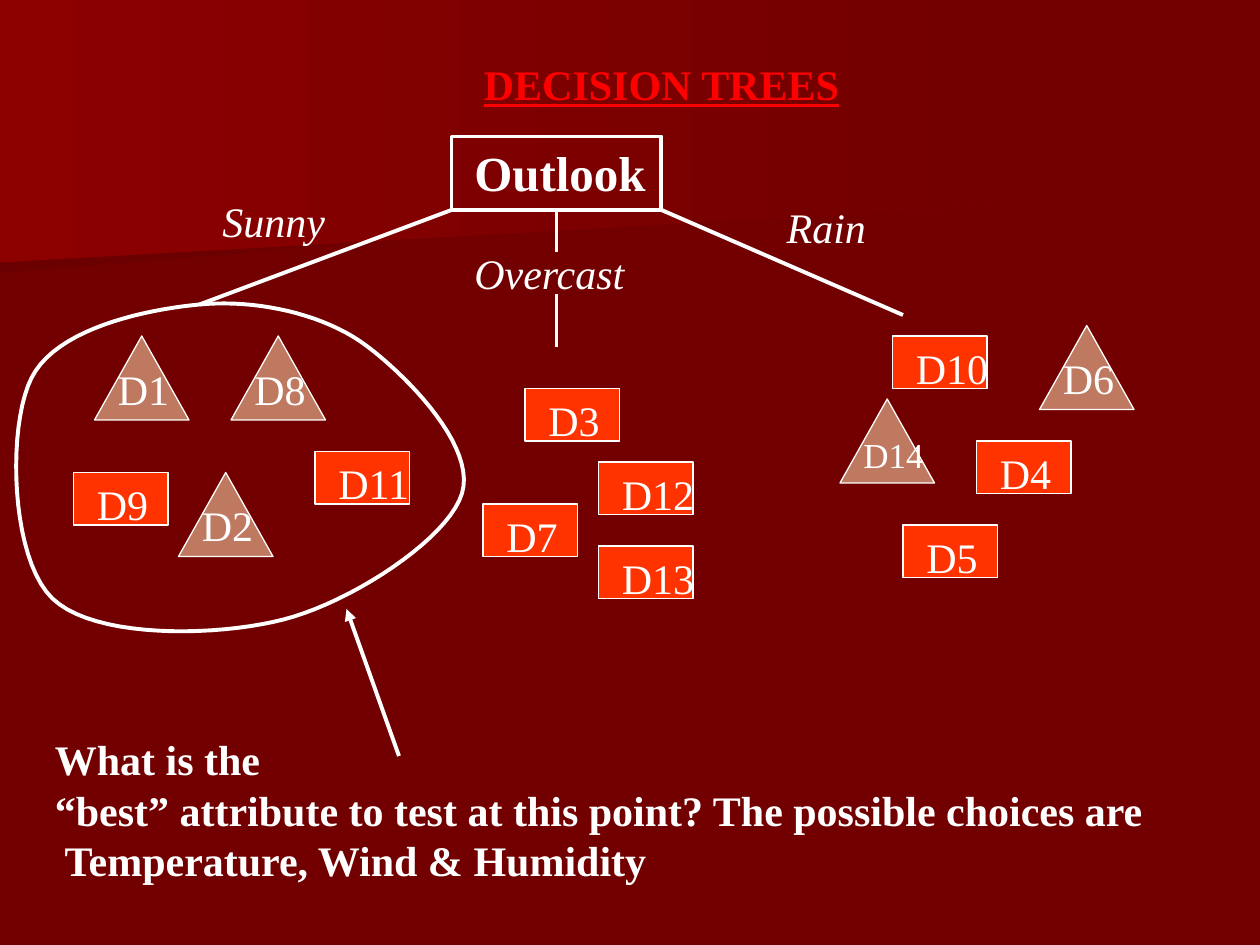
from dataclasses import dataclass

from lxml import etree
from pptx import Presentation
from pptx.dml.color import RGBColor
from pptx.enum import shapes as kinds, text as modes
from pptx.oxml.ns import qn
from pptx.util import Pt


@dataclass(frozen=True)
class Theme:
    """Colours, font and sizes of the slide."""
    back: str = "720000"
    glow: str = "8C0000"
    dark: str = "6B0000"
    red: str = "FF0000"
    box: str = "FF3300"
    peak: str = "BE7960"
    white: str = "FFFFFF"
    font: str = "Times New Roman"
    body: float = 24
    small: float = 20
    large: float = 28
    thin: float = 0.75
    thick: float = 2.25


THEME = Theme()


@dataclass(frozen=True)
class Day:
    """One training example: its name and top left corner."""
    name: str
    left: float
    top: float
    peak: bool = False
    size: float = THEME.body


@dataclass(frozen=True)
class Label:
    """Lines of text with their place and style."""
    text: str
    left: float
    top: float
    width: float
    size: float = THEME.body
    bold: bool = False
    slant: bool = False


@dataclass(frozen=True)
class Edge:
    """A straight line between two points."""
    start: tuple[float, float]
    end: tuple[float, float]
    arrow: bool = False


DAYS = [
    Day("D13", 342, 312), Day("D12", 342, 264), Day("D11", 180, 258),
    Day("D10", 510, 192), Day("D9", 42, 270), Day("D4", 558, 252),
    Day("D7", 276, 288), Day("D5", 516, 300), Day("D3", 300, 222),
    Day("D14", 480, 228, True, THEME.small), Day("D8", 132, 192, True),
    Day("D6", 594, 186, True), Day("D2", 102, 270, True),
    Day("D1", 54, 192, True),
]
LABELS = [
    Label("Outlook", 264, 78, 113, THEME.large, bold=True),
    Label("Sunny", 120, 108, 75, slant=True),
    Label("Overcast", 264, 138, 102, slant=True),
    Label("Rain", 442.5, 111.5, 61, slant=True),
    Label("What is the \n\u201cbest\u201d attribute to test at this point? "
          "The possible choices are\n Temperature, Wind & Humidity",
          24.25, 415.75, 638, bold=True),
]
EDGES = [
    Edge((378, 120), (516, 180)),
    Edge((258, 120), (114, 174)),
    Edge((318, 120), (318, 144)),
    Edge((318, 168), (318, 198)),
    Edge((228, 432), (198, 348), arrow=True),
]
# Each curve of the loop: two control points and an end point.
LOOP_START = (114, 174)
LOOP = [
    ((82, 177), (32, 188), (18, 216)),
    ((4, 244), (6, 319), (30, 342)),
    ((54, 365), (123, 364), (162, 354)),
    ((201, 344), (256, 308), (264, 282)),
    ((272, 256), (235, 217), (210, 198)),
    ((185, 179), (146, 171), LOOP_START),
]
STEPS = 20


def ink(name):
    """Turn a hex colour into an RGBColor."""
    return RGBColor.from_string(name)


def style(shape, fill=None, line=None, weight=THEME.thin):
    """Set the fill and outline, and drop the shadow."""
    shape.shadow.inherit = False
    if fill:
        shape.fill.solid()
        shape.fill.fore_color.rgb = ink(fill)
    else:
        shape.fill.background()
    if line:
        shape.line.color.rgb = ink(line)
        shape.line.width = Pt(weight)
    else:
        shape.line.fill.background()


def write(para, text, size, color=THEME.white, bold=False, slant=False):
    """Add one formatted run and return it."""
    run = para.add_run()
    run.text = text
    font = run.font
    font.name, font.size = THEME.font, Pt(size)
    font.bold, font.italic = bold, slant
    font.color.rgb = ink(color)
    return run


def add_label(shapes, label: Label):
    """Add an unwrapped text box, one paragraph a line."""
    lines = label.text.split("\n")
    tall = len(lines) * label.size * 1.2 + 7.2
    box = shapes.add_textbox(Pt(label.left), Pt(label.top),
                             Pt(label.width), Pt(tall))
    frame = box.text_frame
    frame.word_wrap = False
    frame.auto_size = modes.MSO_AUTO_SIZE.SHAPE_TO_FIT_TEXT
    for num, line in enumerate(lines):
        para = frame.add_paragraph() if num else frame.paragraphs[0]
        write(para, line, label.size, bold=label.bold, slant=label.slant)


def add_day(shapes, day: Day):
    """Add a grouped box or triangle with its name."""
    group = shapes.add_group_shape().shapes
    form = kinds.MSO_SHAPE
    kind = form.ISOSCELES_TRIANGLE if day.peak else form.RECTANGLE
    shape = group.add_shape(kind, Pt(day.left), Pt(day.top),
                            Pt(54), Pt(48 if day.peak else 30))
    style(shape, THEME.peak if day.peak else THEME.box, THEME.white)
    drop = (12 + THEME.body - day.size) if day.peak else 0
    wide = 14.4 + day.size * (len(day.name) * 0.5 + 0.22)
    add_label(group, Label(day.name, day.left + 6.25, day.top + drop,
                           wide, day.size))


def add_edge(shapes, edge: Edge):
    """Add a thick white line, with an arrowhead if wanted."""
    line = shapes.add_connector(kinds.MSO_CONNECTOR.STRAIGHT,
                                *map(Pt, edge.start + edge.end))
    line.line.color.rgb = ink(THEME.white)
    line.line.width = Pt(THEME.thick)
    props = line._element.spPr
    if edge.arrow:
        etree.SubElement(props.find(qn("a:ln")), qn("a:tailEnd"),
                         type="triangle")
    etree.SubElement(props, qn("a:effectLst"))


def add_free(shapes, points):
    """Add a closed outline through the points."""
    first, *rest = [(Pt(x), Pt(y)) for x, y in points]
    pen = shapes.build_freeform(*first)
    pen.add_line_segments(rest, close=True)
    return pen.convert_to_shape()


def add_band(shapes, points, color):
    """Add a background band that fades to the right."""
    band = add_free(shapes, points)
    style(band)
    band.fill.gradient()
    band.fill.gradient_angle = 0
    for stop, tone in zip(band.fill.gradient_stops, (color, THEME.back)):
        stop.color.rgb = ink(tone)


def trace(start, curves):
    """Return points along a chain of cubic curves."""
    points = [start]
    for curve in curves:
        knots = (points[-1], *curve)
        for step in range(1, STEPS + 1):
            t = step / STEPS
            parts = ((1 - t) ** 3, 3 * t * (1 - t) ** 2,
                     3 * t * t * (1 - t), t ** 3)
            points.append(tuple(sum(p * k[axis] for p, k in zip(parts, knots))
                                for axis in (0, 1)))
    return points


def set_title(slide, text):
    """Place the title in front and format it."""
    title = slide.shapes.title
    title.left, title.top = Pt(60), Pt(30)
    title.width, title.height = Pt(636), Pt(36)
    frame = title.text_frame
    frame.auto_size = modes.MSO_AUTO_SIZE.NONE
    frame.vertical_anchor = modes.MSO_ANCHOR.TOP
    para = frame.paragraphs[0]
    para.alignment = modes.PP_ALIGN.CENTER
    write(para, text, THEME.body, THEME.red, bold=True).font.underline = True
    slide.shapes._spTree.append(title._element)


def main():
    """Build the slide and save it."""
    deck = Presentation()
    deck.slide_width, deck.slide_height = Pt(720), Pt(540)
    slide = deck.slides.add_slide(deck.slide_layouts[5])
    slide.background.fill.solid()
    slide.background.fill.fore_color.rgb = ink(THEME.back)
    shapes = slide.shapes
    add_band(shapes, [(560, 110), (0, 156), (0, 73), (561, 73)], THEME.dark)
    add_band(shapes, [(570, 117), (0, 150), (0, 0), (570, 0)], THEME.glow)
    for day in DAYS:
        add_day(shapes, day)
    root = shapes.add_shape(kinds.MSO_SHAPE.RECTANGLE,
                            Pt(258), Pt(78), Pt(120), Pt(42))
    loop = add_free(shapes, trace(LOOP_START, LOOP))
    for shape in (root, loop):
        style(shape, line=THEME.white, weight=THEME.thick)
    for edge in EDGES:
        add_edge(shapes, edge)
    for label in LABELS:
        add_label(shapes, label)
    set_title(slide, "DECISION TREES")
    deck.save("out.pptx")


main()
